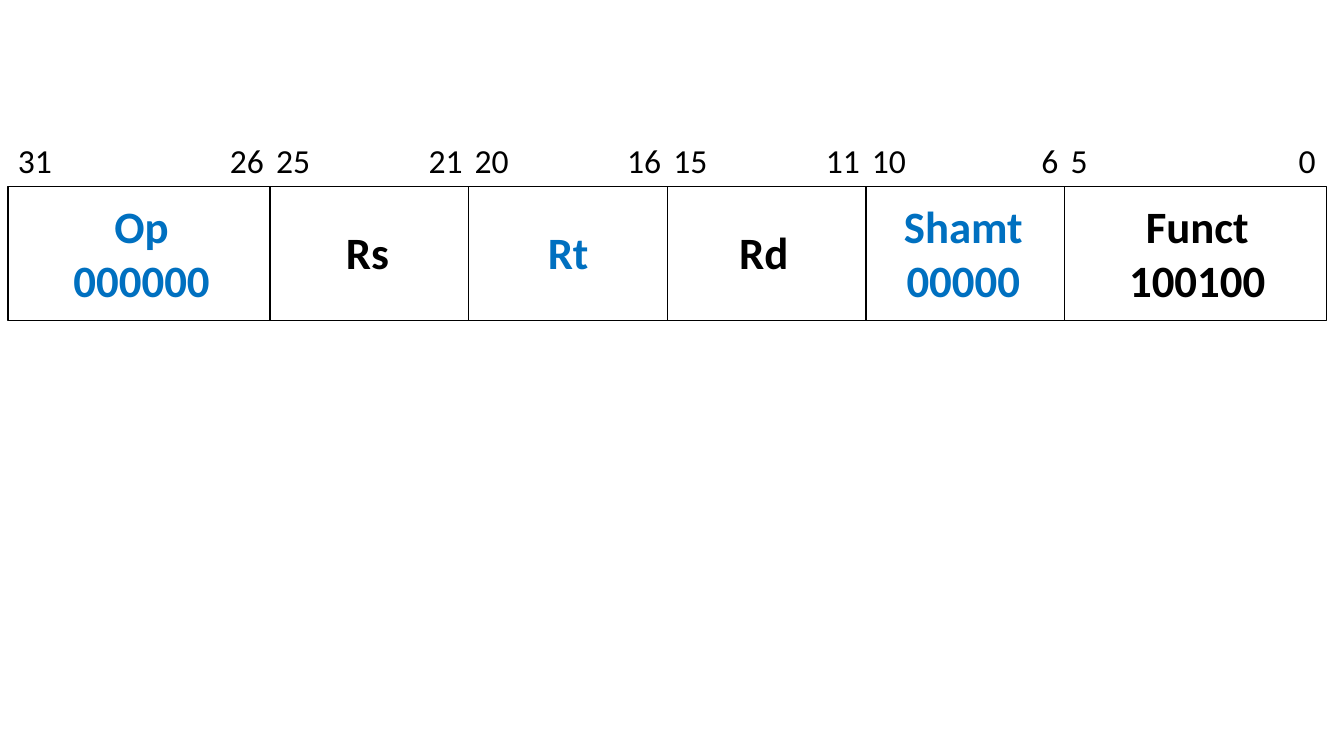
"""Build a slide showing the bit fields of an R-type instruction word."""
from lxml.etree import SubElement
from pptx import Presentation
from pptx.dml.color import RGBColor
from pptx.enum.shapes import MSO_SHAPE
from pptx.enum.text import MSO_AUTO_SIZE, PP_ALIGN
from pptx.oxml.ns import qn
from pptx.util import Inches, Pt

COLORS = {"black": "000000", "blue": "0070C0"}
WORD_LEFT, WORD_TOP, WORD_WIDTH, FIELD_HEIGHT = 0.08, 1.85, 13.07, 1.33
BIT_INSET, BIT_GAP = 0.1, 0.06

FIELDS = [
    ("Op\n000000", "blue", 2.6, 0.62, 1.57, 31, 26),
    ("Rs", "black", 1.97, 3.33, 0.63, 25, 21),
    ("Rt", "blue", 1.97, 5.33, 0.61, 20, 16),
    ("Rd", "black", 1.97, 7.23, 0.69, 15, 11),
    ("Shamt\n00000", "blue", 1.97, 8.86, 1.39, 10, 6),
    ("Funct\n100100", "black", 2.6, 11.09, 1.57, 5, 0),
]


def add_label(slide, text, left, top, width, height, wrap, align, font_format, color):
    label = slide.shapes.add_textbox(Inches(left), Inches(top), Inches(width), Inches(height))
    frame = label.text_frame
    frame.text = text
    frame.word_wrap = wrap
    frame.auto_size = MSO_AUTO_SIZE.SHAPE_TO_FIT_TEXT
    for paragraph in frame.paragraphs:
        paragraph.alignment = align
        for run in paragraph.runs:
            for attribute, value in font_format.items():
                setattr(run.font, attribute, value)
            run.font.color.rgb = RGBColor.from_string(COLORS[color])
    return label


presentation = Presentation()
presentation.slide_width = Inches(13.33)
presentation.slide_height = Inches(7.5)
slide = presentation.slides.add_slide(presentation.slide_layouts[6])

field_left = WORD_LEFT
bit_stops = []
for name, color, width, name_left, name_width, high_bit, low_bit in FIELDS:
    field = slide.shapes.add_shape(
        MSO_SHAPE.RECTANGLE, Inches(field_left), Inches(WORD_TOP), Inches(width), Inches(FIELD_HEIGHT)
    )
    field.shadow.inherit = False
    field.fill.background()
    field.line.color.rgb = RGBColor.from_string(COLORS["black"])
    field.line.width = Pt(1)
    field_left += width
    bit_stops += [(field_left - BIT_GAP, "r"), (field_left + BIT_GAP, "l")]

for name, color, width, name_left, name_width, high_bit, low_bit in FIELDS:
    name_top, name_height = (1.92, 1.18) if "\n" in name else (2.18, 0.64)
    name_format = {"name": "Calibri", "size": Pt(32), "bold": True}
    add_label(slide, name, name_left, name_top, name_width, name_height,
              False, PP_ALIGN.CENTER, name_format, color)

bit_numbers = "\t".join(f"{high_bit}\t{low_bit}" for *_, high_bit, low_bit in FIELDS)
bit_row = add_label(slide, bit_numbers, WORD_LEFT, 1.34, WORD_WIDTH, 0.5,
                    True, PP_ALIGN.LEFT, {"name": "Calibri", "size": Pt(24)}, "black")
bit_properties = bit_row.text_frame.paragraphs[0]._p.get_or_add_pPr()
tab_list = SubElement(bit_properties, qn("a:tabLst"))
last_stop = WORD_WIDTH - 2 * BIT_INSET
for position, align in bit_stops[:-1]:
    stop = min(position - WORD_LEFT - BIT_INSET, last_stop)
    SubElement(tab_list, qn("a:tab"), pos=str(Inches(stop)), algn=align)

presentation.save("out.pptx")
